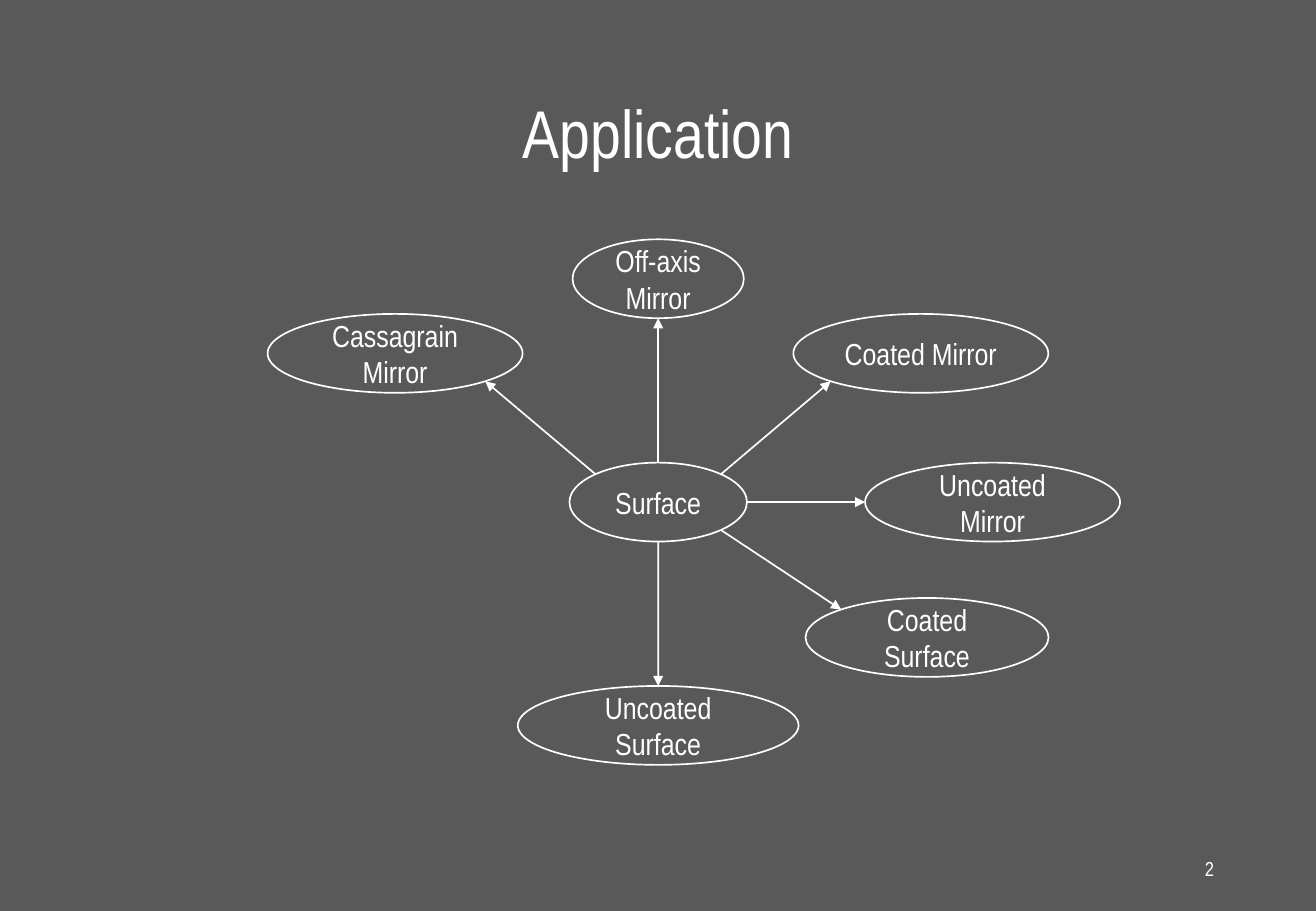
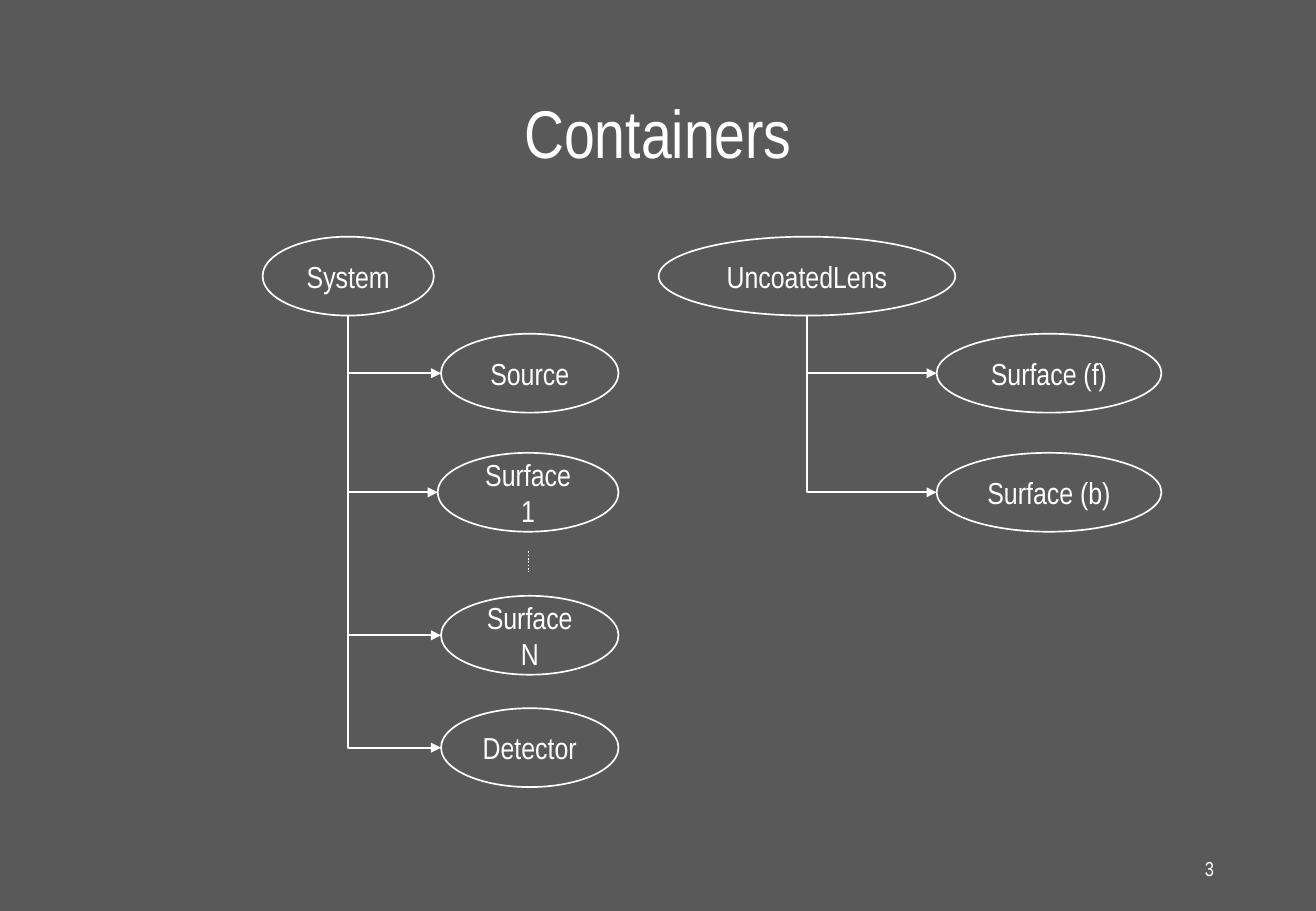
from math import cos, pi, sin

from lxml import etree
from pptx import Presentation
from pptx.dml.color import RGBColor
from pptx.enum.dml import MSO_LINE_DASH_STYLE as Dash
from pptx.enum.shapes import MSO_CONNECTOR as Link, MSO_SHAPE as Preset
from pptx.enum.text import MSO_ANCHOR as Anchor, PP_ALIGN as Align
from pptx.oxml.ns import qn
from pptx.util import Cm, Pt

COLORS = {"background": "595959", "ink": "FFFFFF"}
FONT = "Arial Narrow"
NODE_HEIGHT = 1.65
TOP, LEFT, BOTTOM = 0, 2, 4
TITLE_BOX = (1.89, 1.02, 23.73, 3.68)
NUMBER_BOX = (19.44, 17.65, 6.19, 1.01)


def color(key):
    return RGBColor.from_string(COLORS[key])


def write(frame, text, size, align):
    frame.word_wrap = True
    frame.vertical_anchor = Anchor.MIDDLE
    paragraph = frame.paragraphs[0]
    paragraph.alignment = align
    run = paragraph.add_run()
    run.text = text
    run.font.name = FONT
    run.font.size = Pt(size)
    run.font.color.rgb = color("ink")
    return paragraph


def new_slide(deck, heading, number):
    slide = deck.slides.add_slide(deck.slide_layouts[5])
    title = slide.shapes.title
    title.left, title.top, title.width, title.height = map(Cm, TITLE_BOX)
    write(title.text_frame, heading, 40, Align.CENTER).line_spacing = 0.9
    page = slide.shapes.add_textbox(*map(Cm, NUMBER_BOX))
    write(page.text_frame, str(number), 12, Align.RIGHT)
    return slide


def add_node(slide, label, left, top, width):
    node = slide.shapes.add_shape(
        Preset.OVAL, Cm(left), Cm(top), Cm(width), Cm(NODE_HEIGHT))
    node.shadow.inherit = False
    node.fill.background()
    node.line.color.rgb = color("ink")
    node.line.width = Pt(1)
    write(node.text_frame, label, 18, Align.CENTER)
    return node


def site_point(node, site):
    angle = site * pi / 4
    return (round(node.left + node.width / 2 * (1 - sin(angle))),
            round(node.top + node.height / 2 * (1 - cos(angle))))


def add_line(slide, kind, start, end):
    line = slide.shapes.add_connector(kind, *start, *end)
    line.line.color.rgb = color("ink")
    line.line.width = Pt(1)
    etree.SubElement(line._element.spPr, qn("a:effectLst"))
    return line


def attach(line, parent, parent_site, child, child_site):
    etree.SubElement(line.line._get_or_add_ln(), qn("a:tailEnd"), type="triangle")
    ends = line._element.find(".//" + qn("p:cNvCxnSpPr"))
    for tag, node, site in (("a:stCxn", parent, parent_site),
                            ("a:endCxn", child, child_site)):
        etree.SubElement(ends, qn(tag), id=str(node.shape_id), idx=str(site))


def add_arrow(slide, parent, parent_site, child):
    child_site = (parent_site + 4) % 8
    arrow = add_line(slide, Link.STRAIGHT, site_point(parent, parent_site),
                     site_point(child, child_site))
    attach(arrow, parent, parent_site, child, child_site)


def add_branch(slide, parent, child):
    x1, y1 = site_point(parent, BOTTOM)
    x2, y2 = site_point(child, LEFT)
    run, drop = x2 - x1, y2 - y1
    left, top = (x1 + x2 - drop) // 2, (y1 + y2 - run) // 2
    branch = add_line(slide, Link.ELBOW, (left, top), (left + drop, top + run))
    properties = branch._element.spPr
    properties.find(qn("a:prstGeom")).set("prst", "bentConnector2")
    frame = properties.find(qn("a:xfrm"))
    frame.set("rot", "16200000")
    frame.set("flipH", "1")
    attach(branch, parent, BOTTOM, child, LEFT)


def hub_diagram(slide, center_x, center_y, hub, hub_width, spokes):
    def centered(label, dx, dy, width):
        return add_node(slide, label, center_x + dx - width / 2,
                        center_y + dy - NODE_HEIGHT / 2, width)

    core = centered(hub, 0, 0, hub_width)
    for label, dx, dy, width, site in spokes:
        add_arrow(slide, core, site, centered(label, dx, dy, width))


def container_tree(slide, left, top, width, root, root_width, members):
    container = add_node(slide, root, left, top, root_width)
    for label, drop, member_width in members:
        member = add_node(slide, label, left + width - member_width,
                          top + drop, member_width)
        add_branch(slide, container, member)


def continuation(slide, x, top, bottom):
    dots = add_line(slide, Link.STRAIGHT, (Cm(x), Cm(top)), (Cm(x), Cm(bottom)))
    dots.line.dash_style = Dash.ROUND_DOT


deck = Presentation()
deck.slide_width, deck.slide_height = Cm(27.51), Cm(19.05)
backdrop = deck.slide_master.background.fill
backdrop.solid()
backdrop.fore_color.rgb = color("background")

application = new_slide(deck, "Application", 2)
hub_diagram(application, 13.76, 10.5, "Surface", 3.71, [
    ("Off-axis Mirror", 0, -4.67, 3.58, TOP),
    ("Cassagrain Mirror", -5.5, -3.11, 5.33, 1),
    ("Uncoated Surface", 0, 4.67, 5.87, BOTTOM),
    ("Coated Surface", 5.62, 2.83, 5.08, 5),
    ("Uncoated Mirror", 6.99, 0, 5.33, 6),
    ("Coated Mirror", 5.49, -3.11, 5.33, 7),
])

containers = new_slide(deck, "Containers", 3)
container_tree(containers, 5.49, 4.95, 7.44, "System", 3.58, [
    ("Source", 2.03, 3.71),
    ("Surface 1", 4.52, 3.78),
    ("Surface N", 7.51, 3.71),
    ("Detector", 9.86, 3.71),
])
continuation(containers, 11.05, 11.53, 11.96)
container_tree(containers, 13.77, 4.95, 10.51, "UncoatedLens", 6.2, [
    ("Surface (f)", 2.03, 4.7),
    ("Surface (b)", 4.52, 4.7),
])

deck.save("out.pptx")
